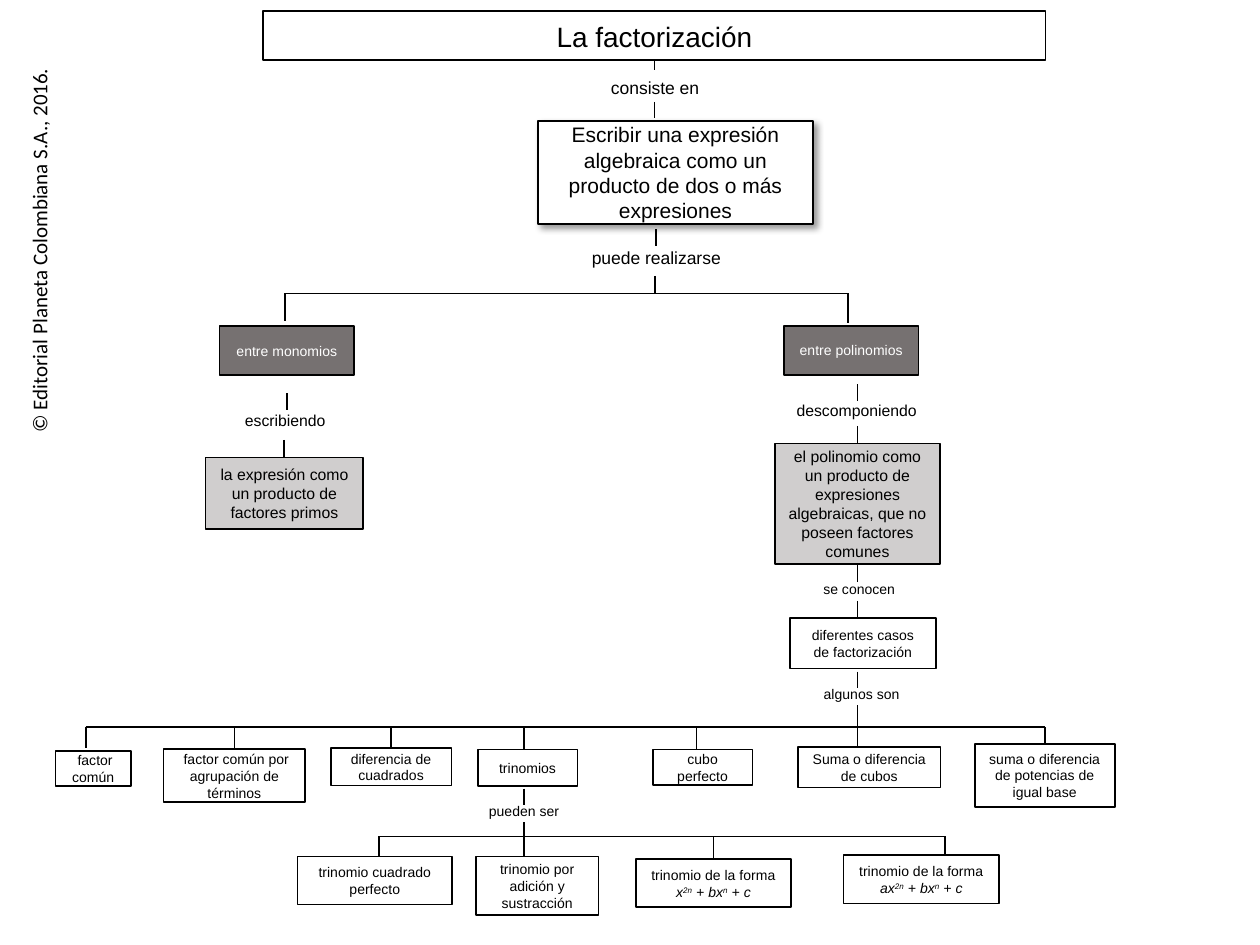
from lxml.etree import SubElement
from pptx import Presentation
from pptx.dml.color import RGBColor
from pptx.enum.shapes import MSO_CONNECTOR as Connector, MSO_SHAPE as Shape
from pptx.enum.text import MSO_ANCHOR as Anchor, MSO_AUTO_SIZE as AutoSize, PP_ALIGN as Align
from pptx.oxml.ns import qn
from pptx.util import Pt

BLACK = RGBColor(0, 0, 0)
WHITE = RGBColor(255, 255, 255)
DARK = RGBColor(0x76, 0x71, 0x71)
LIGHT = RGBColor(0xD0, 0xCE, 0xCE)
TOP, BOTTOM = 0, 2

# Content: every place is left, top, width, height in points
TITLE = ("La factorización", (150.5, 6.5, 447, 28))
CREDIT = ("© Editorial Planeta Colombiana S.A., 2016.", (-90, 131, 224.6, 21.6))
DEFINITION = "Escribir una expresión algebraica como un producto de dos o más expresiones"


def formula(first):
    """Runs of one trinomial form: text, italic, superscript."""
    return [("trinomio de la forma ", False, False), (first, True, False),
            ("2n", True, True), (" + bx", True, False),
            ("n", True, True), (" + c", True, False)]


# Boxes: text, place, fill, text colour, size
BOXES = [
    (DEFINITION, (307.5, 69, 157, 59), WHITE, BLACK, 12),
    ("entre monomios", (125.5, 186.5, 77, 28), DARK, WHITE, 8),
    ("entre polinomios", (448, 186.2, 77, 28), DARK, WHITE, 8),
    ("la expresión como un producto de factores primos",
     (117.5, 261.5, 90, 41), LIGHT, BLACK, 9),
    ("el polinomio como un producto de expresiones algebraicas, "
     "que no poseen factores comunes", (443, 253.5, 94, 69), LIGHT, BLACK, 9),
    ("diferentes casos de factorización", (451.4, 353, 83.5, 29), WHITE, BLACK, 8),
    (" factor común", (31.7, 429.1, 43.2, 20.2), WHITE, BLACK, 8),
    (" factor común por agrupación de términos", (93.5, 428, 81, 30.5), None, BLACK, 8),
    ("diferencia de cuadrados", (189, 427.5, 69, 21.5), None, BLACK, 8),
    ("trinomios", (273, 428.3, 57, 21), None, BLACK, 8),
    ("cubo perfecto", (373, 428.3, 57, 20.2), None, BLACK, 8),
    ("Suma o diferencia de cubos", (456, 427, 81.5, 23), None, BLACK, 8),
    ("suma o diferencia de potencias de igual base", (557, 425, 80, 36), None, BLACK, 8),
    ("trinomio cuadrado perfecto", (170, 489.5, 88.5, 27.5), None, BLACK, 8),
    ("trinomio por adición y sustracción", (272, 489.5, 70, 33.5), None, BLACK, 8),
    (formula("x"), (363.5, 491, 88.5, 27.5), None, BLACK, 8),
    (formula("ax"), (482, 488.8, 89, 27.5), None, BLACK, 8),
]

# Linking words: text, place, size
LINKS = [
    ("consiste en", (330, 40.3, 88.6, 19.4), 10),
    ("puede realizarse", (331, 137.5, 88, 19.4), 10),
    ("escribiendo", (119, 231, 88, 18), 9),
    ("descomponiendo", (443.5, 225.5, 92, 18), 9),
    ("se conocen", (445, 328.3, 92, 17.3), 8),
    ("algunos son", (446.4, 388, 92, 17.3), 8),
    ("pueden ser", (255.5, 455, 88, 17.3), 8),
]

# Vertical stems: x, top, bottom
STEMS = [
    (374, 34.5, 40.3), (374, 58.3, 67.7), (375, 131, 140.5), (374.5, 157.7, 167.7),
    (164.2, 224.6, 234), (162.5, 251.3, 261.5),
    (490, 219.6, 229), (490, 243.4, 253.5), (490, 322.5, 332.6), (490, 343.4, 353),
    (490, 383.8, 393), (490, 403, 415.4),
    (299.5, 450.7, 460), (299.5, 470, 478),
]

# Branches: y of the rail, then x and bottom of each drop
BRANCHES = [
    (167.7, [(162.7, 183.6), (484.6, 184.4)]),
    (415.4, [(49, 427.5), (134, 428), (223.5, 427.5), (299.5, 428.3),
             (398, 428.3), (490, 427), (597, 425)]),
    (478, [(216.7, 490), (299.5, 490), (407.75, 491), (540, 488.5)]),
]


def points(values):
    return [Pt(value) for value in values]


def write(shape, text, size, color=BLACK, font="Arial", align=Align.CENTER,
          anchor=Anchor.MIDDLE, wrap=True, fit=AutoSize.NONE):
    frame = shape.text_frame
    frame.word_wrap, frame.auto_size, frame.vertical_anchor = wrap, fit, anchor
    para = frame.paragraphs[0]
    para.alignment = align
    runs = [(text, False, False)] if isinstance(text, str) else text
    for words, italic, raised in runs:
        span = para.add_run()
        span.text = words
        span.font.name, span.font.size, span.font.italic = font, Pt(size), italic
        span.font.color.rgb = color
        if raised:
            span.font._element.set("baseline", "30000")


def outline(shape, fill):
    if fill is None:
        shape.fill.background()
    else:
        shape.fill.solid()
        shape.fill.fore_color.rgb = fill
    shape.line.color.rgb = BLACK
    shape.line.width = Pt(1)


def add_label(page, place, text, size, **style):
    label = page.shapes.add_textbox(*points(place))
    write(label, text, size, anchor=Anchor.TOP, fit=AutoSize.SHAPE_TO_FIT_TEXT, **style)
    return label


def add_shadow(shape):
    shape.shadow.inherit = False
    effects = shape._element.spPr.find(qn("a:effectLst"))
    shadow = SubElement(effects, qn("a:outerShdw"), blurRad=str(Pt(4)), dist=str(Pt(3)),
                        dir="2700000", algn="tl", rotWithShape="0")
    color = SubElement(shadow, qn("a:srgbClr"), val="000000")
    SubElement(color, qn("a:alpha"), val="40000")


def add_line(page, boxes, x1, y1, x2, y2):
    line = page.shapes.add_connector(Connector.STRAIGHT, *points((x1, y1, x2, y2)))
    line.line.color.rgb = BLACK
    line.line.width = Pt(1)
    SubElement(line._element.spPr, qn("a:effectLst"))
    # Join the ends that meet the middle of a box's top or bottom
    for box, (left, top, width, height) in boxes:
        middle = left + width / 2
        if (x1, y1) == (middle, top + height):
            line.begin_connect(box, BOTTOM)
        if (x2, y2) == (middle, top):
            line.end_connect(box, TOP)


def main():
    deck = Presentation()
    deck.slide_width, deck.slide_height = Pt(720), Pt(540)
    page = deck.slides.add_slide(deck.slide_layouts[5])

    # Title and credit
    text, place = TITLE
    title = page.shapes.title
    title.left, title.top, title.width, title.height = points(place)
    outline(title, WHITE)
    write(title, text, 16)
    boxes = [(title, place)]
    text, place = CREDIT
    add_label(page, place, text, 12, font="Calibri", align=Align.LEFT,
              wrap=False).rotation = 270

    # Concept boxes
    for text, place, fill, color, size in BOXES:
        box = page.shapes.add_shape(Shape.RECTANGLE, *points(place))
        box.shadow.inherit = False
        outline(box, fill)
        write(box, text, size, color=color)
        if text == DEFINITION:
            add_shadow(box)
        boxes.append((box, place))

    # Linking words
    for text, place, size in LINKS:
        add_label(page, place, text, size)

    # Stems, rails and drops
    for x, top, bottom in STEMS:
        add_line(page, boxes, x, top, x, bottom)
    for y, drops in BRANCHES:
        add_line(page, boxes, drops[0][0], y, drops[-1][0], y)
        for x, bottom in drops:
            add_line(page, boxes, x, y, x, bottom)

    deck.save("out.pptx")


if __name__ == "__main__":
    main()
